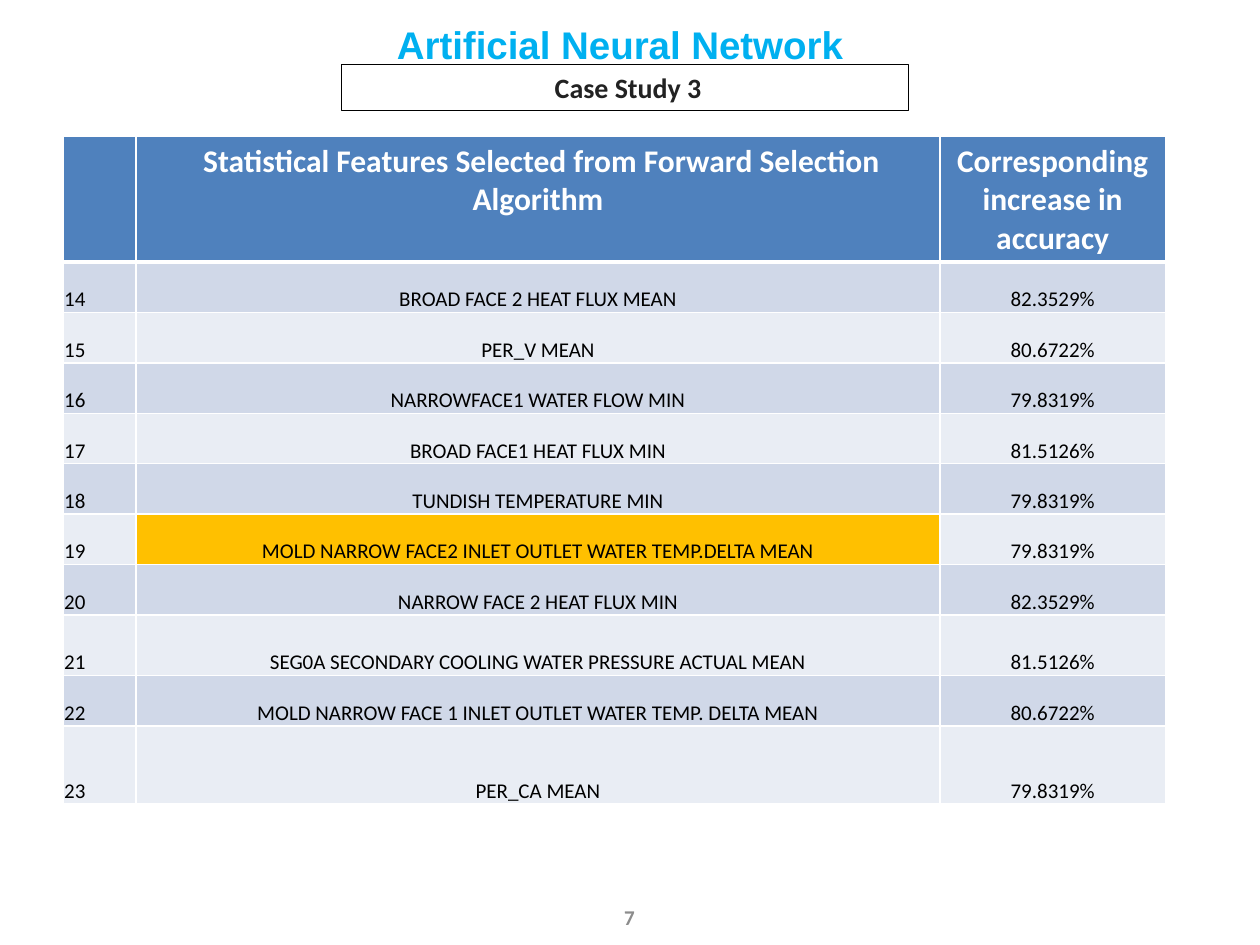
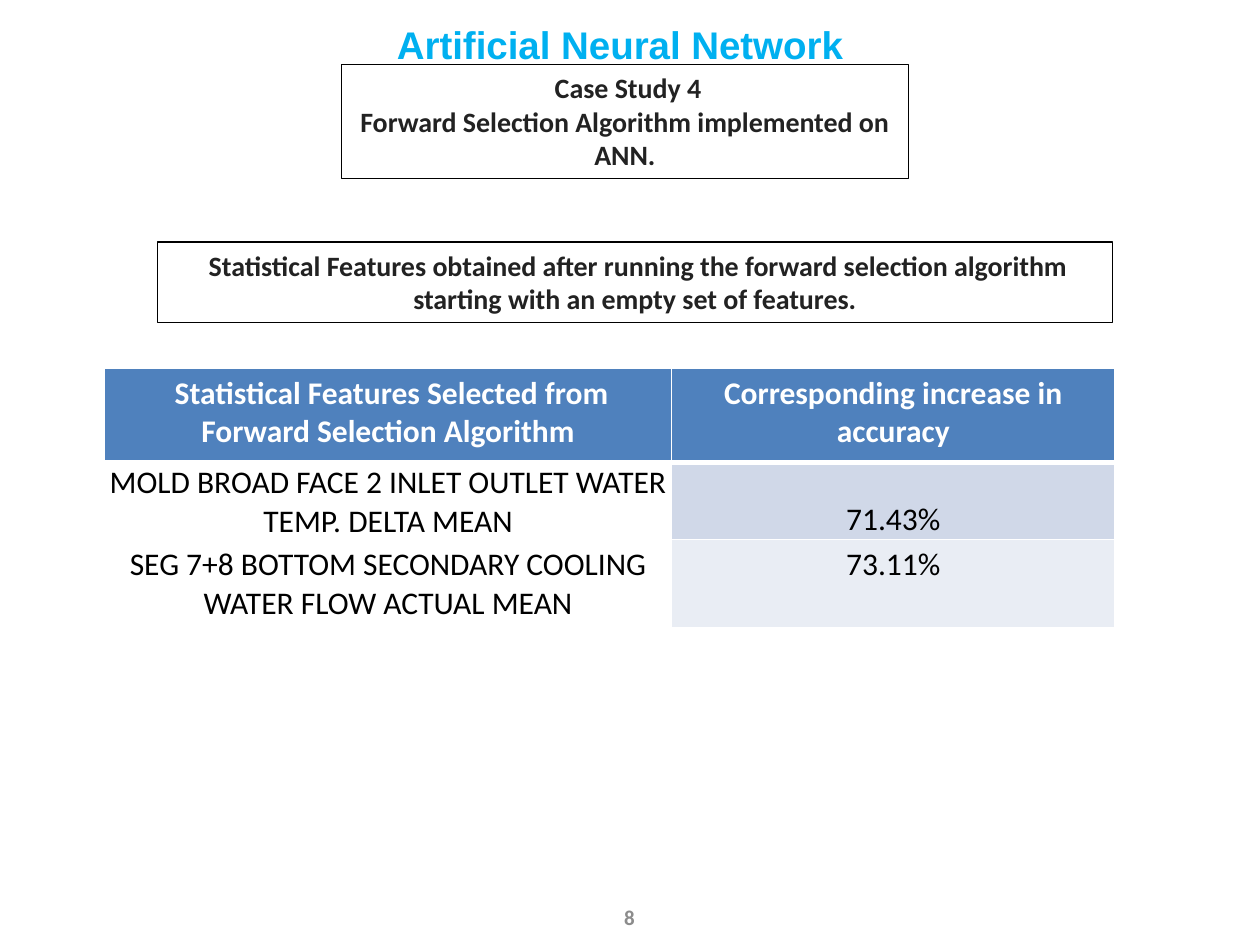
from lxml import etree
from pptx import Presentation
from pptx.dml.color import RGBColor
from pptx.enum import shapes, text
from pptx.oxml import ns
from pptx.util import Inches, Pt

COLORS = {
    "title": "00B0F0", "header": "4F81BD", "band_dark": "D0D8E8",
    "band_light": "E9EDF4", "highlight": "FFC000", "white": "FFFFFF",
    "black": "000000", "caption": "222222", "number": "8C8C8C",
}
BODY_FONT = "Calibri"
TITLE = "Artificial Neural Network"
FEATURE_HEADING = " Statistical Features Selected from Forward Selection Algorithm"
ACCURACY_HEADING = "Corresponding increase in accuracy"
CENTER, LEFT = text.PP_ALIGN.CENTER, text.PP_ALIGN.LEFT
TOP, MIDDLE, BOTTOM = (text.MSO_ANCHOR.TOP, text.MSO_ANCHOR.MIDDLE,
                       text.MSO_ANCHOR.BOTTOM)

# Features 14 to 23 with the accuracy each one gave
FEATURES = [
    ("BROAD FACE 2 HEAT FLUX MEAN", "82.3529%"),
    ("PER_V MEAN", "80.6722%"),
    ("NARROWFACE1 WATER FLOW MIN", "79.8319%"),
    ("BROAD FACE1 HEAT FLUX MIN", "81.5126%"),
    ("TUNDISH TEMPERATURE MIN", "79.8319%"),
    ("MOLD NARROW FACE2 INLET OUTLET WATER TEMP.DELTA MEAN", "79.8319%"),
    ("NARROW FACE 2 HEAT FLUX MIN", "82.3529%"),
    ("SEG0A SECONDARY COOLING WATER PRESSURE ACTUAL MEAN", "81.5126%"),
    ("MOLD NARROW FACE 1 INLET OUTLET WATER TEMP. DELTA MEAN", "80.6722%"),
    ("PER_CA MEAN", "79.8319%"),
]
FIRST_FEATURE = 14
HIGHLIGHT_ROW = 6


def color(name):
    return RGBColor.from_string(COLORS[name])


def write(frame, lines, size, color_name, bold=True, align=CENTER, font=BODY_FONT):
    """Fill a text frame with one paragraph per line."""
    frame.word_wrap = True
    for index, line in enumerate(lines):
        para = frame.paragraphs[0] if index == 0 else frame.add_paragraph()
        para.alignment = align
        span = para.add_run()
        span.text = line
        span.font.name, span.font.size, span.font.bold = font, Pt(size), bold
        span.font.color.rgb = color(color_name)


def add_page(deck, number):
    """Add a slide with the shared title and page number."""
    page = deck.slides.add_slide(deck.slide_layouts[5])
    title = page.shapes.title
    title.left, title.top = Inches(3.05), Inches(0.08)
    title.width, title.height = Inches(4.58), Inches(0.27)
    frame = title.text_frame
    frame.auto_size = text.MSO_AUTO_SIZE.NONE
    frame.vertical_anchor = TOP
    frame.margin_top = Inches(0.09)
    write(frame, [TITLE], 22, "title", align=LEFT, font="Arial")

    box = page.shapes.add_textbox(Inches(4.65), Inches(7.08), Inches(0.69), Inches(0.4))
    box.text_frame.vertical_anchor = MIDDLE
    write(box.text_frame, [str(number)], 12, "number")
    return page


def add_caption(page, left, top, width, height, lines):
    """Add an outlined box with bold centred text."""
    box = page.shapes.add_shape(shapes.MSO_SHAPE.RECTANGLE, Inches(left),
                                Inches(top), Inches(width), Inches(height))
    box.shadow.inherit = False
    box.fill.background()
    box.line.color.rgb = color("black")
    box.line.width = Pt(0.75)
    box.text_frame.vertical_anchor = TOP
    write(box.text_frame, lines, 16, "caption")
    box.text_frame.auto_size = text.MSO_AUTO_SIZE.SHAPE_TO_FIT_TEXT


def set_borders(cell, top, bottom):
    """Draw white cell borders; top and bottom are widths in points."""
    properties = cell._tc.get_or_add_tcPr()
    widths = {"a:lnL": 1, "a:lnR": 1, "a:lnT": top, "a:lnB": bottom}
    for index, (tag, width) in enumerate(widths.items()):
        line = etree.Element(ns.qn(tag), w=str(Pt(width)))
        fill = etree.SubElement(line, ns.qn("a:solidFill"))
        etree.SubElement(fill, ns.qn("a:srgbClr"), val=COLORS["white"])
        properties.insert(index, line)


def format_cell(cell, row, content, size, fill, align=CENTER, tight=True):
    """Style a header cell (row 0) or a body cell."""
    header = row == 0
    cell.fill.solid()
    cell.fill.fore_color.rgb = color(fill)
    set_borders(cell, 3 if row == 1 else 1, 3 if header else 1)
    if tight and not header:
        cell.vertical_anchor = BOTTOM
        cell.margin_left = cell.margin_right = cell.margin_top = Inches(0.01)
        cell.margin_bottom = 0
    if content:
        write(cell.text_frame, [content], size, "white" if header else "black",
              bold=header, align=align)


def add_grid(page, left, top, widths, heights):
    """Add an empty table with the given column widths and row heights."""
    grid = page.shapes.add_table(len(heights), len(widths), Inches(left), Inches(top),
                                 Inches(sum(widths)), Inches(sum(heights))).table
    grid.horz_banding = False
    for column, width in zip(grid.columns, widths):
        column.width = Inches(width)
    for row, height in zip(grid.rows, heights):
        row.height = Inches(height)
    return grid


def band(row):
    if row == 0:
        return "header"
    return "band_dark" if row % 2 else "band_light"


def add_ranking_table(page):
    heights = [0.96] + [0.4] * 7 + [0.48, 0.4, 0.62]
    grid = add_grid(page, 0.5, 1.08, [0.58, 6.38, 1.79], heights)
    rows = [("", FEATURE_HEADING, ACCURACY_HEADING)]
    rows += [(str(number), *feature)
             for number, feature in enumerate(FEATURES, FIRST_FEATURE)]
    for r, row in enumerate(rows):
        for c, content in enumerate(row):
            fill = "highlight" if (r, c) == (HIGHLIGHT_ROW, 1) else band(r)
            format_cell(grid.cell(r, c), r, content, 12 if r else 18, fill,
                        align=CENTER if c else LEFT)


def add_result_table(page):
    grid = add_grid(page, 0.83, 2.92, [4.5, 3.52], [0.75, 0.43, 0.5])
    rows = [
        (FEATURE_HEADING, ACCURACY_HEADING),
        ("MOLD BROAD FACE 2 INLET OUTLET WATER TEMP. DELTA MEAN", "71.43%"),
        ("SEG 7+8 BOTTOM SECONDARY COOLING WATER FLOW ACTUAL MEAN", "73.11%"),
    ]
    for r, row in enumerate(rows):
        for c, content in enumerate(row):
            fill = "white" if r and c == 0 else band(r)
            format_cell(grid.cell(r, c), r, content, 18, fill, tight=r == 1)


def main():
    deck = Presentation()
    deck.slide_width, deck.slide_height = Inches(10), Inches(7.5)

    # Case study 3: ranked features
    page = add_page(deck, 7)
    add_ranking_table(page)
    add_caption(page, 2.71, 0.51, 4.5, 0.37, [" Case Study 3"])

    # Case study 4: forward selection from an empty set
    page = add_page(deck, 8)
    add_caption(page, 1.25, 1.92, 7.58, 0.64,
                [" Statistical Features obtained after running the forward selection "
                 "algorithm starting with an empty set of features."])
    add_result_table(page)
    add_caption(page, 2.71, 0.51, 4.5, 0.91,
                [" Case Study 4", "Forward Selection Algorithm implemented on ANN."])

    deck.save("out.pptx")


if __name__ == "__main__":
    main()
